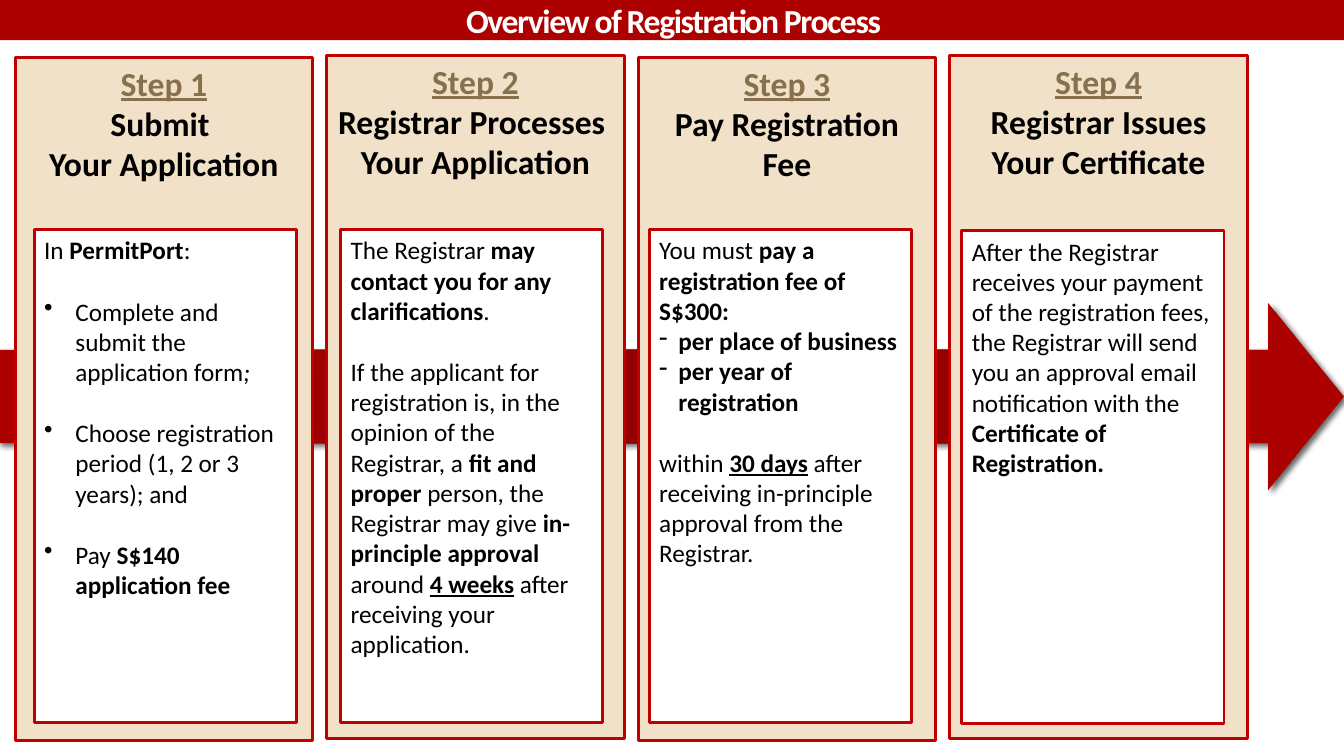
from lxml import etree
from pptx import Presentation
from pptx.dml.color import RGBColor
from pptx.enum.shapes import MSO_SHAPE
from pptx.enum.text import MSO_ANCHOR, PP_ALIGN
from pptx.oxml import parse_xml
from pptx.oxml.ns import qn
from pptx.util import Inches, Pt

RECT, ARROW = MSO_SHAPE.RECTANGLE, MSO_SHAPE.RIGHT_ARROW
TOP, MIDDLE = MSO_ANCHOR.TOP, MSO_ANCHOR.MIDDLE
LEFT, CENTER = PP_ALIGN.LEFT, PP_ALIGN.CENTER

W, H = 13.33, 7.5
CARD_W, CARD_H, PITCH = 2.95, 6.78, 3.09
BODY_W, BODY_H = 2.6, 4.89
FONT = "Calibri"
LINE_GAP = 22  # one line of body text, in points
COLORS = {"bar": "AD0101", "dark": "950000", "mid": "A60000", "card": "F2E1C9",
          "border": "C00000", "step": "87714D", "text": "000000", "white": "FFFFFF"}
STOPS = [(0, "dark"), (34, "dark"), (70, "mid"), (100, "bar")]
A_NS = 'xmlns:a="http://schemas.openxmlformats.org/drawingml/2006/main"'

# Body paragraphs: (runs, bullet, indent, blank line above); runs: (text, style letters)
STEPS = [
    {"title": ["Submit ", "Your Application"], "top": 0.57, "inset": (0.19, 1.71), "body": [
        ([("In ", ""), ("PermitPort", "b"), (":", "")], None, 0, False),
        ([("Complete and submit the application form", ""), ("; ", "i")], "•", 0.31, True),
        ([("Choose registration period (1, 2 or 3 years); and", "")], "•", 0.31, True),
        ([("Pay ", ""), ("S$140 application fee ", "b")], "•", 0.31, True)]},
    {"title": ["Registrar Processes ", "Your Application"], "top": 0.55, "inset": (0.14, 1.73),
     "body": [
        ([("The Registrar ", ""), ("may contact you for any clarifications", "b"), (". ", "")],
         None, 0, False),
        ([("If the applicant for registration is, in the opinion of the Registrar, a ", ""),
          ("fit and proper ", "b"), ("person, the Registrar may give ", ""),
          ("in-principle approval ", "b"), ("around ", ""), ("4 weeks", "bu"),
          (" after receiving your application.", "")], None, 0, True)]},
    {"title": ["Pay Registration Fee"], "top": 0.57, "inset": (0.11, 1.71), "body": [
        ([("You must ", ""), ("pay a registration fee of S$300:", "b")], None, 0, False),
        ([("per place of business ", "b")], "-", 0.19, False),
        ([("per year of registration", "b")], "-", 0.19, False),
        ([("within ", ""), ("30 days", "bu"),
          (" after receiving in-principle approval from the Registrar.", "")], None, 0, True)]},
    {"title": ["Registrar Issues Your Certificate"], "top": 0.55, "inset": (0.12, 1.74), "body": [
        ([("After the Registrar receives your payment of the registration fees, the Registrar "
           "will send you an approval email notification with the ", ""),
          ("Certificate of Registration.", "b")], None, 0, False)]},
]


def rgb(name):
    """Return a named colour."""
    return RGBColor.from_string(COLORS[name])


def add_box(s, box, fill, line=None, shape=RECT):
    """Add a flat filled shape in box (left, top, width, height)."""
    sp = s.shapes.add_shape(shape, *map(Inches, box))
    sp.shadow.inherit = False
    sp.fill.solid()
    sp.fill.fore_color.rgb = rgb(fill)
    if line:
        sp.line.color.rgb = rgb(line)
        sp.line.width = Pt(2.08)
    else:
        sp.line.fill.background()
    return sp


def start_text(sp, anchor=TOP):
    """Turn on wrapping, set the anchor and return the text frame."""
    tf = sp.text_frame
    tf.word_wrap = True
    tf.vertical_anchor = anchor
    return tf


def add_para(tf, runs, size, color="text", align=LEFT, **font):
    """Write runs into the empty first paragraph, or into a new one."""
    p = tf.add_paragraph() if tf.paragraphs[0].runs else tf.paragraphs[0]
    p.alignment = align
    p.font.name, p.font.size = FONT, Pt(size)
    p.font.color.rgb = rgb(color)
    for name, value in font.items():
        setattr(p.font, name, value)
    for text, style in runs:
        r = p.add_run()
        r.text = text
        for letter, name in (("b", "bold"), ("i", "italic"), ("u", "underline")):
            if letter in style:
                setattr(r.font, name, True)
    return p


def set_bullet(p, char, indent):
    """Give a paragraph a bullet character with a hanging indent."""
    pPr = p._p.get_or_add_pPr()
    pPr.set("marL", str(Inches(indent)))
    pPr.set("indent", str(-Inches(indent)))
    bullet = etree.Element(qn("a:buChar"), char=char)
    pPr.find(qn("a:defRPr")).addprevious(bullet)


def add_header(s, box):
    """Draw the title bar and its tightly spaced title."""
    add_box(s, box, "bar")
    left, top, width, height = box
    sp = s.shapes.add_textbox(*map(Inches, (left + 0.03, top, width - 0.03, height)))
    p = add_para(start_text(sp, MIDDLE), [("Overview of Registration Process", "")],
                 24, "white", CENTER, bold=True)
    p.runs[0].font._element.set("spc", "-100")


def add_arrow(s, box):
    """Draw the shaded process arrow behind the cards."""
    sp = add_box(s, box, "bar", shape=ARROW)
    sp.adjustments[0], sp.adjustments[1] = 0.5, 0.406
    stops = "".join(f'<a:gs pos="{pos * 1000}"><a:srgbClr val="{COLORS[name]}"/></a:gs>'
                    for pos, name in STOPS)
    grad = parse_xml(
        f'<a:gradFill {A_NS} rotWithShape="1"><a:gsLst>{stops}</a:gsLst><a:path path="circle">'
        '<a:fillToRect l="100000" t="100000" r="100000" b="100000"/></a:path></a:gradFill>')
    shadow = parse_xml(
        f'<a:outerShdw {A_NS} blurRad="{Pt(3)}" dist="{Pt(2)}" dir="2700000" rotWithShape="0">'
        '<a:srgbClr val="000000"><a:alpha val="60000"/></a:srgbClr></a:outerShdw>')
    spPr = sp._element.spPr
    spPr.replace(spPr.find(qn("a:solidFill")), grad)
    spPr.find(qn("a:effectLst")).append(shadow)


def add_step(s, box, number, step):
    """Draw one step card with its heading and inner text panel."""
    tf = start_text(add_box(s, box, "card", "border"))
    add_para(tf, [(f"Step {number}", "")], 24, "step", CENTER, bold=True, underline=True)
    for line in step["title"]:
        add_para(tf, [(line, "")], 24, align=CENTER, bold=True)

    dx, dy = step["inset"]
    panel = (box[0] + dx, box[1] + dy, BODY_W, BODY_H)
    tf = start_text(add_box(s, panel, "white", "border"))
    for runs, bullet, indent, gap in step["body"]:
        p = add_para(tf, runs, 18)
        if gap:
            p.space_before = Pt(LINE_GAP)
        if bullet:
            set_bullet(p, bullet, indent)


def main():
    """Build and save the slide."""
    prs = Presentation()
    prs.slide_width, prs.slide_height = Inches(W), Inches(H)
    s = prs.slides.add_slide(prs.slide_layouts[6])
    add_header(s, (0, 0, W, 0.4))
    add_arrow(s, (0, 3.01, W, 1.85))
    for i, step in enumerate(STEPS):
        add_step(s, (0.15 + i * PITCH, step["top"], CARD_W, CARD_H), i + 1, step)
    prs.save("out.pptx")


main()
